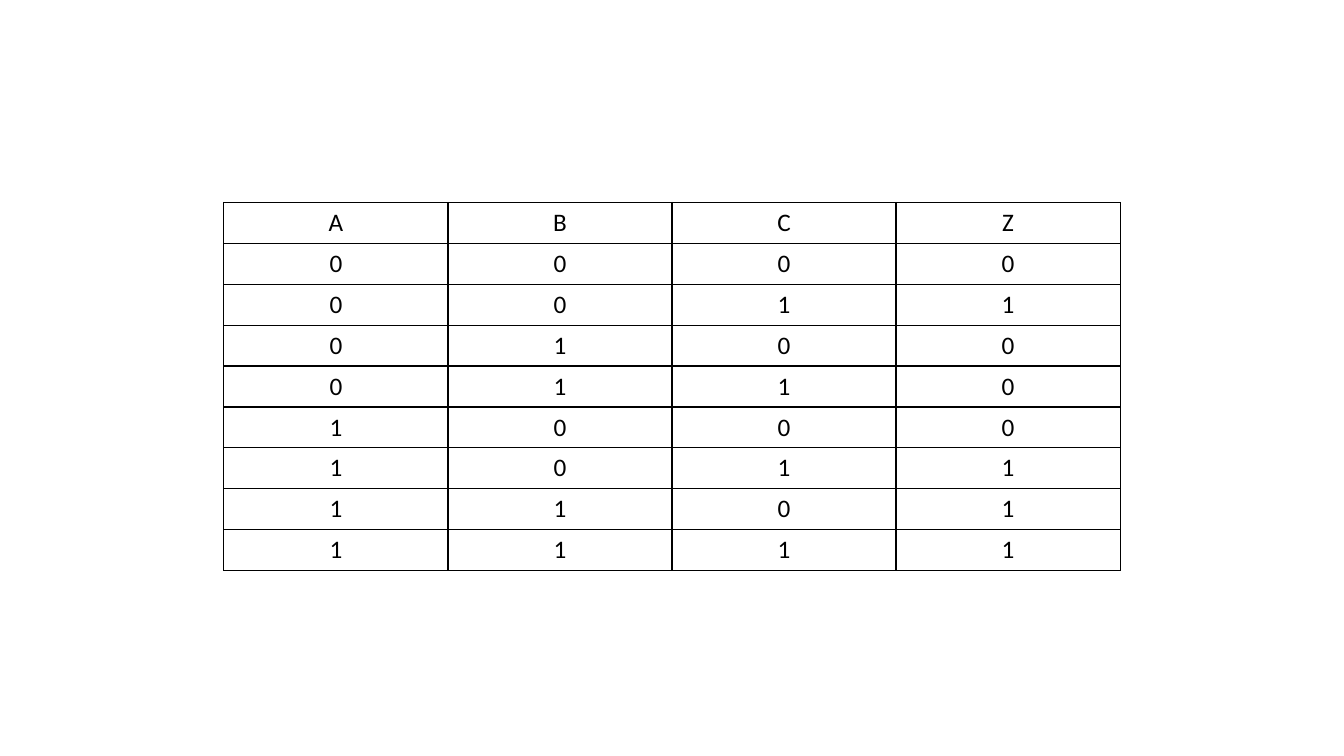
import itertools

import lxml.etree
import pptx
import pptx.dml.color
import pptx.enum.text
import pptx.oxml.ns
import pptx.util
from pptx.util import Inches


def color(value):
    """Turn a hex string into a colour."""
    return pptx.dml.color.RGBColor.from_string(value)


class Page:
    """Hold the style and the current slide."""

    font = "Calibri"
    size = pptx.util.Pt(18)
    ink = "000000"
    border = pptx.util.Pt(1)

    def __init__(self, deck):
        """Add a blank slide to the deck."""
        self.slide = deck.slides.add_slide(deck.slide_layouts[6])

    def table(self, rows, left, top, width, height):
        """Draw a plain ruled table with equal rows and columns."""
        frame = self.slide.shapes.add_table(
            len(rows), len(rows[0]), left, top, width, height
        )
        table = frame.table
        table.first_row = table.horz_banding = False
        for cell, value in zip(table.iter_cells(), itertools.chain(*rows)):
            self.rule(cell)
            cell.fill.background()
            self.label(cell, str(value))

    def rule(self, cell):
        """Draw a line on all four sides of a cell."""
        tag = pptx.oxml.ns.qn
        properties = cell._tc.get_or_add_tcPr()
        for side in ("a:lnL", "a:lnR", "a:lnT", "a:lnB"):
            line = lxml.etree.SubElement(properties, tag(side), w=str(int(self.border)))
            fill = lxml.etree.SubElement(line, tag("a:solidFill"))
            lxml.etree.SubElement(fill, tag("a:srgbClr"), val=self.ink)

    def label(self, cell, text):
        """Put centred text in a cell."""
        cell.text_frame.text = text
        para = cell.text_frame.paragraphs[0]
        para.alignment = pptx.enum.text.PP_ALIGN.CENTER
        font = para.runs[0].font
        font.name, font.size = self.font, self.size
        font.color.rgb = color(self.ink)


def main():
    """Build the truth table of Z, which is A when B is set and C otherwise."""
    deck = pptx.Presentation()
    deck.slide_width, deck.slide_height = Inches(13.33), Inches(7.5)
    page = Page(deck)
    truth = [(a, b, c, a if b else c) for a, b, c in itertools.product((0, 1), repeat=3)]
    page.table(["ABCZ"] + truth, Inches(2.22), Inches(2.01), Inches(8.89), Inches(3.65))
    deck.save("out.pptx")


main()
